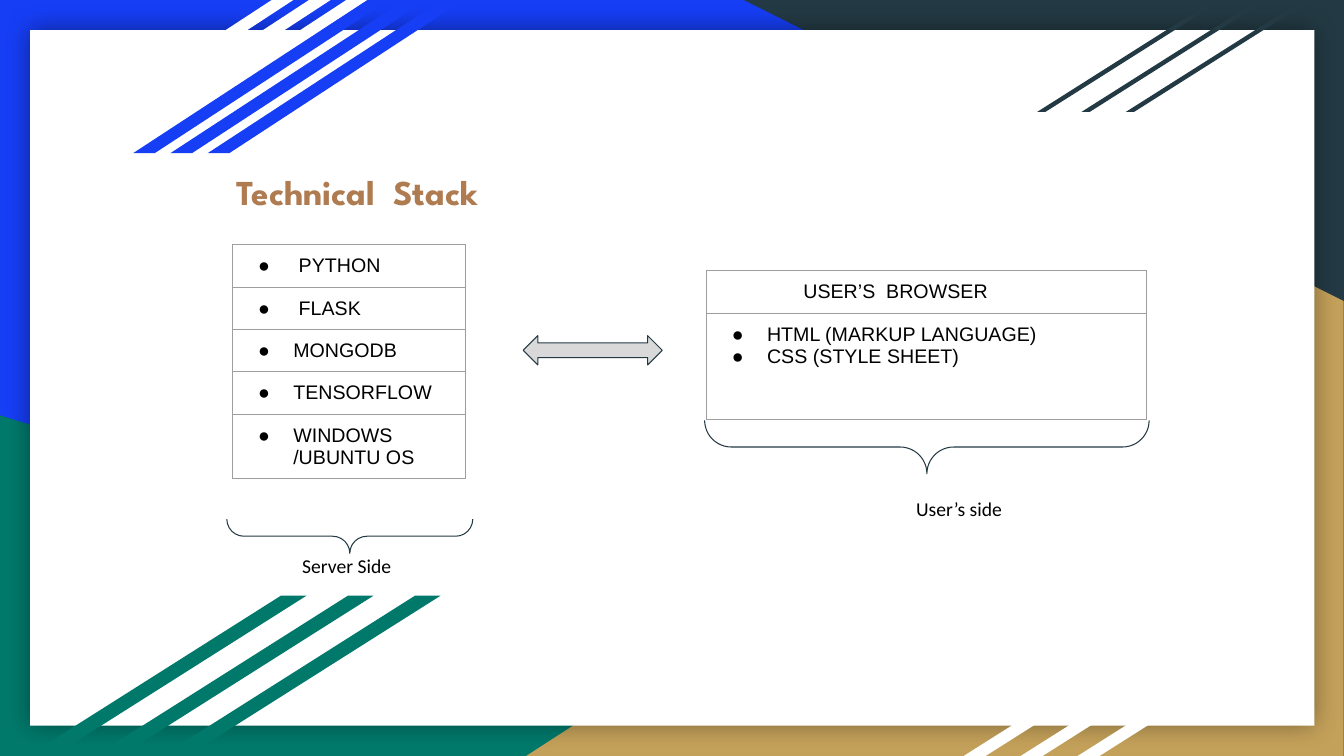
from lxml.etree import SubElement
from pptx import Presentation
from pptx.dml.color import RGBColor
from pptx.enum.shapes import MSO_SHAPE as Preset
from pptx.oxml.ns import qn
from pptx.util import Inches, Pt

UNIT = Inches(0.1)
COLUMNS, ROWS = 133.33, 75

BLUE = RGBColor(0x16, 0x3E, 0xF5)
GREEN = RGBColor(0x00, 0x79, 0x6B)
GOLD = RGBColor(0xC4, 0xA1, 0x5A)
SLATE = RGBColor(0x23, 0x3A, 0x44)
WHITE = RGBColor(0xFF, 0xFF, 0xFF)
BLACK = RGBColor(0x00, 0x00, 0x00)
GREY = RGBColor(0xD9, 0xD9, 0xD9)
BORDER = RGBColor(0x9E, 0x9E, 0x9E)
BRONZE = RGBColor(0xAF, 0x7B, 0x51)

SERVER_STACK = [" PYTHON", " FLASK", "MONGODB", "TENSORFLOW", "WINDOWS /UBUNTU OS"]
BROWSER_STACK = ["HTML (MARKUP LANGUAGE)", "CSS (STYLE SHEET)"]


def grid(*lengths):
    return [round(length * UNIT) for length in lengths]


def add_preset(slide, preset, box, fill=None, line=None, adjustments=(), rotation=0):
    shape = slide.shapes.add_shape(preset, *grid(*box))
    shape.shadow.inherit = False
    shape.rotation = rotation
    for index, value in enumerate(adjustments):
        shape.adjustments[index] = value
    if fill is None:
        shape.fill.background()
    else:
        shape.fill.solid()
        shape.fill.fore_color.rgb = fill
    if line is None:
        shape.line.fill.background()
    else:
        shape.line.color.rgb = line
        shape.line.width = Pt(0.75)
    return shape


def add_stripes(slide, left, top, step, width, height, slant, color):
    for index in reversed(range(3)):
        box = (left + index * step, top, width, height)
        add_preset(slide, Preset.PARALLELOGRAM, box, color, adjustments=[slant])


def add_panel(slide):
    panel = add_preset(slide, Preset.RECTANGLE, (3, 3, 127.4, 69), WHITE)
    effects = panel._element.spPr.find(qn("a:effectLst"))
    shadow = SubElement(effects, qn("a:outerShdw"), blurRad=str(Pt(18)), dist="0", dir="0",
                        algn="ctr", rotWithShape="0")
    color = SubElement(shadow, qn("a:srgbClr"), val=str(BLACK))
    SubElement(color, qn("a:alpha"), val="40000")


def add_backdrop(slide):
    slide.background.fill.solid()
    slide.background.fill.fore_color.rgb = BLUE
    add_preset(slide, Preset.RIGHT_TRIANGLE, (0, 41.2, 107.5, 33.8), GREEN)
    gold = add_preset(slide, Preset.RIGHT_TRIANGLE, (52.2, 22.6, 81.1, 52.4), GOLD)
    gold._element.spPr.xfrm.set("flipH", "1")
    add_preset(slide, Preset.RIGHT_TRIANGLE, (73.8, 0, 59.6, 29.9), SLATE, rotation=180)
    add_panel(slide)
    add_stripes(slide, 3.7, 0, 3.7, 25.4, 15.2, 1.53, WHITE)
    add_stripes(slide, 13.2, 0, 3.7, 25.4, 15.2, 1.53, BLUE)
    add_stripes(slide, 102.9, 0.1, 4.4, 18.2, 11, 1.58, SLATE)
    add_stripes(slide, 95.6, 61.5, 5.65, 23.5, 13.5, 1.58, WHITE)
    add_stripes(slide, 2.9, 59.1, 6.65, 27.5, 15.8, 1.58, GREEN)


def add_run(paragraph, text, font, size, color, bold=False):
    run = paragraph.add_run()
    run.text = text
    run.font.name = font
    run.font.size = Pt(size)
    run.font.color.rgb = color
    run.font.bold = bold


def add_text(slide, box, text, font, size, color, bold=False):
    frame = slide.shapes.add_textbox(*grid(*box)).text_frame
    frame.word_wrap = True
    frame.margin_left = frame.margin_right = frame.margin_top = frame.margin_bottom = UNIT
    add_run(frame.paragraphs[0], text, font, size, color, bold)


def indent(paragraph, left, first=0):
    properties = paragraph._p.get_or_add_pPr()
    margin, hanging = grid(left, first)
    properties.set("marL", str(margin))
    properties.set("indent", str(hanging))
    return properties


def add_bullet(paragraph):
    properties = indent(paragraph, 5, -3.5)
    color = SubElement(properties, qn("a:buClr"))
    SubElement(color, qn("a:srgbClr"), val=str(BLACK))
    SubElement(properties, qn("a:buFont"), typeface="Arial")
    SubElement(properties, qn("a:buChar"), char="●")


def style_cell(cell):
    cell.margin_left = cell.margin_right = cell.margin_top = cell.margin_bottom = UNIT
    properties = cell._tc.get_or_add_tcPr()
    for side in ("lnL", "lnR", "lnT", "lnB"):
        line = SubElement(properties, qn(f"a:{side}"), w=str(Pt(0.75)))
        fill = SubElement(line, qn("a:solidFill"))
        SubElement(fill, qn("a:srgbClr"), val=str(BORDER))
    cell.fill.background()


def fill_cell(cell, lines, bulleted=True):
    style_cell(cell)
    frame = cell.text_frame
    for index, text in enumerate(lines):
        paragraph = frame.add_paragraph() if index else frame.paragraphs[0]
        if bulleted:
            add_bullet(paragraph)
        else:
            indent(paragraph, 8.6)
        add_run(paragraph, text, "Arial", 14, BLACK)


def add_stack_table(slide, left, top, width, heights):
    box = grid(left, top, width, sum(heights))
    table = slide.shapes.add_table(len(heights), 1, *box).table
    table.first_row = table.horz_banding = False
    for row, height in zip(table.rows, grid(*heights)):
        row.height = height
    return table


def add_brace(slide, center, top, span, depth):
    box = (center - depth / 2, top + depth / 2 - span / 2, depth, span)
    add_preset(slide, Preset.RIGHT_BRACE, box, line=SLATE, adjustments=[0.5, 0.5], rotation=90)


def main():
    presentation = Presentation()
    presentation.slide_width, presentation.slide_height = grid(COLUMNS, ROWS)
    slide = presentation.slides.add_slide(presentation.slide_layouts[6])
    add_backdrop(slide)

    server_table = add_stack_table(slide, 23.1, 24.3, 23.1, [4.2] * 4 + [6.3])
    for row, name in enumerate(SERVER_STACK):
        fill_cell(server_table.cell(row, 0), [name])

    browser_table = add_stack_table(slide, 70.1, 26.8, 43.6, [4.3, 10.5])
    fill_cell(browser_table.cell(0, 0), ["USER’S  BROWSER"], bulleted=False)
    fill_cell(browser_table.cell(1, 0), BROWSER_STACK)

    add_preset(slide, Preset.LEFT_RIGHT_ARROW, (51.9, 33.3, 13.8, 2.9), GREY, SLATE, [0.5, 0.5])
    add_text(slide, (22.5, 15.9, 78.1, 6.2), "Technical  Stack", "League Spartan", 25, BRONZE, True)
    add_brace(slide, 34.7, 51.5, 24.4, 3.4)
    add_text(slide, (29, 54, 30, 4.4), "Server Side", "Calibri", 14, BLACK)
    add_text(slide, (89.9, 48.3, 30, 4.4), "User’s side", "Calibri", 14, BLACK)
    add_brace(slide, 91.95, 41.7, 44.1, 5.3)
    presentation.save("out.pptx")


if __name__ == "__main__":
    main()
